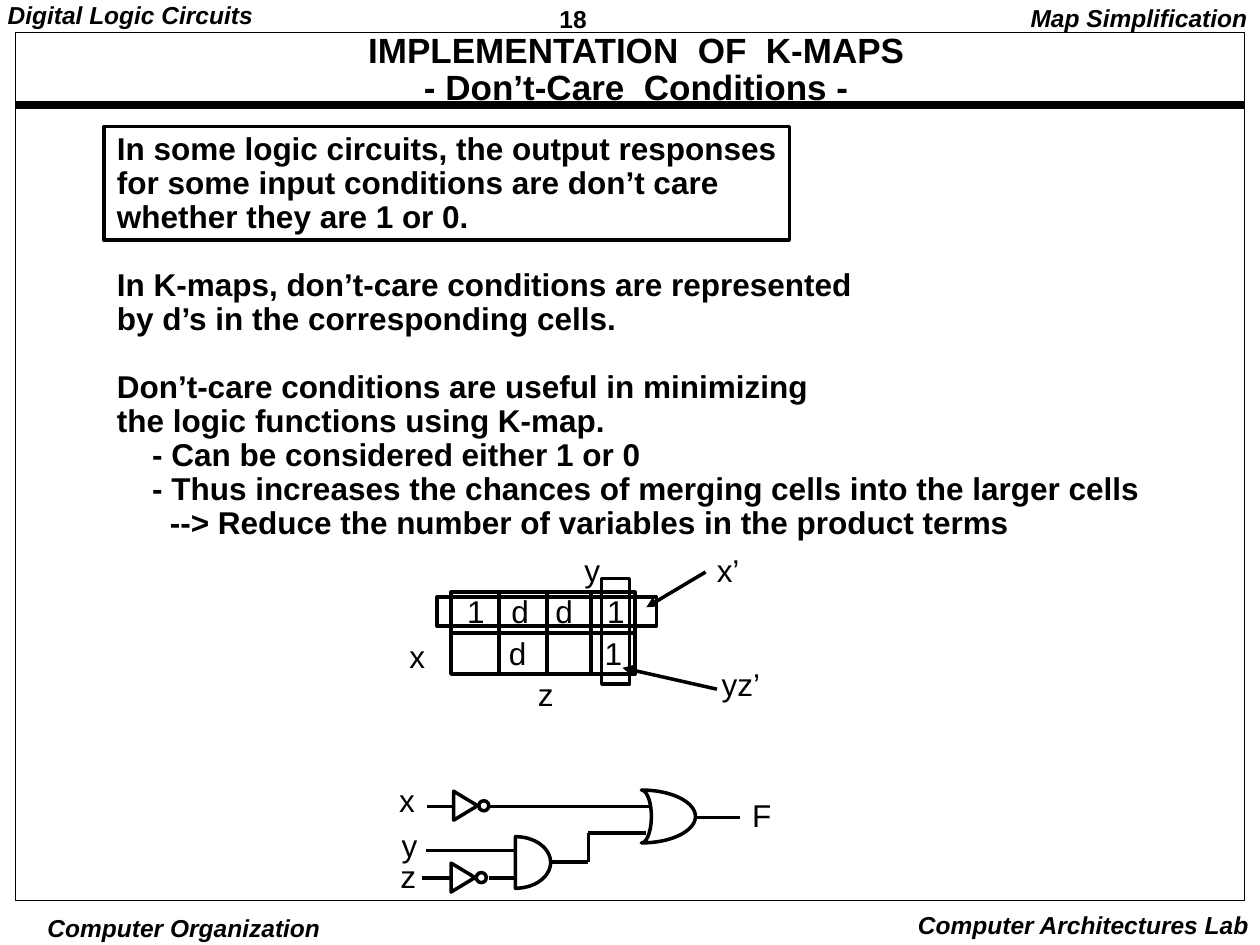
from dataclasses import dataclass
from math import cos, pi, sin

from lxml.etree import SubElement
from pptx import Presentation
from pptx.dml.color import RGBColor
from pptx.enum.shapes import MSO_CONNECTOR, MSO_SHAPE
from pptx.enum.text import MSO_ANCHOR, MSO_AUTO_SIZE, PP_ALIGN
from pptx.oxml.ns import qn
from pptx.util import Emu, Inches, Pt


@dataclass(frozen=True)
class Theme:
    ink: RGBColor = RGBColor(0, 0, 0)
    paper: RGBColor = RGBColor(255, 255, 255)
    face: str = "Arial"
    head: float = 20
    body: float = 18
    edge: float = 14
    thin: float = 0.5
    line: float = 2
    rule: float = 4.5
    lead: float = 0.9


@dataclass(frozen=True)
class Box:
    """A place on the slide grid, in columns and rows."""
    x: float
    y: float
    w: float
    h: float


@dataclass(frozen=True)
class Label:
    text: str
    box: Box
    pad: tuple = (1, 0.5)
    align: PP_ALIGN = PP_ALIGN.LEFT
    tabs: tuple = ()
    lead: float = 0.9


@dataclass(frozen=True)
class Line:
    text: str
    dent: float = 0
    gap: float = 0


@dataclass(frozen=True)
class Wire:
    x1: float
    y1: float
    x2: float
    y2: float
    arrow: bool = False


THEME = Theme()
COLS, ROWS = 100, 75
deck = Presentation()
deck.slide_width, deck.slide_height = Inches(10), Inches(7.5)
page = deck.slides.add_slide(deck.slide_layouts[5])


def col(n: float) -> Emu:
    return Emu(round(deck.slide_width * n / COLS))


def row(n: float) -> Emu:
    return Emu(round(deck.slide_height * n / ROWS))


def area(box: Box) -> tuple:
    return col(box.x), row(box.y), col(box.w), row(box.h)


def put(target, **values) -> None:
    for name, value in values.items():
        setattr(target, name, value)


def style(para, size: float, bold=False, slant=False) -> None:
    para.line_spacing = THEME.lead
    put(para.font, name=THEME.face, size=Pt(size), bold=bold, italic=slant)
    para.font.color.rgb = THEME.ink


def inset(frame, pad: tuple) -> None:
    put(frame, margin_left=col(pad[0]), margin_right=col(pad[0]),
        margin_top=row(pad[1]), margin_bottom=row(pad[1]))


def write(label: Label, size: float, bold=False, slant=False) -> None:
    frame = page.shapes.add_textbox(*area(label.box)).text_frame
    put(frame, word_wrap=bool(label.tabs), auto_size=MSO_AUTO_SIZE.SHAPE_TO_FIT_TEXT)
    inset(frame, label.pad)
    para = frame.paragraphs[0]
    put(para, text=label.text, alignment=label.align)
    if label.tabs:
        stops = SubElement(para._p.get_or_add_pPr(), qn("a:tabLst"))
        for stop in label.tabs:
            SubElement(stops, qn("a:tab"), pos=str(col(stop)), algn="l")
    style(para, size, bold, slant)
    para.line_spacing = label.lead


def ink(shape, width: float, fill=None) -> None:
    shape.shadow.inherit = False
    if fill is None:
        shape.fill.background()
    else:
        shape.fill.solid()
        shape.fill.fore_color.rgb = fill
    shape.line.color.rgb = THEME.ink
    shape.line.width = Pt(width)


def draw(kind, box: Box, width=THEME.line, fill=None, home=page):
    shape = home.shapes.add_shape(kind, *area(box))
    ink(shape, width, fill)
    return shape


def link(wire: Wire, width=THEME.line):
    line = page.shapes.add_connector(MSO_CONNECTOR.STRAIGHT, col(wire.x1), row(wire.y1),
                                     col(wire.x2), row(wire.y2))
    line.line.color.rgb = THEME.ink
    line.line.width = Pt(width)
    if wire.arrow:
        SubElement(line.line._get_or_add_ln(), qn("a:tailEnd"), type="triangle")
    SubElement(line._element.spPr, qn("a:effectLst"))
    return line


def bow(x: float, y: float, wide: float, high: float, steps=32) -> list:
    """Points down the right half of an ellipse."""
    turns = [pi * (n / steps - 0.5) for n in range(steps + 1)]
    return [(col(x + wide * cos(t)), row(y + high * sin(t))) for t in turns]


def gate(front: list, back: list) -> None:
    """Close a curved front with a flat or curved back."""
    points = front + back[::-1]
    path = page.shapes.build_freeform(*points[0])
    path.add_line_segments(points[1:], close=True)
    ink(path.convert_to_shape(), THEME.line)


def invert(x: float, y: float) -> None:
    """Draw a NOT gate whose triangle starts at x, centred on y."""
    group = page.shapes.add_group_shape()
    long, wide, dot = 2.3, 1.9, 0.8
    cone = draw(MSO_SHAPE.ISOSCELES_TRIANGLE,
                Box(x + (wide - long) / 2, y - wide / 2, long, wide),
                fill=THEME.paper, home=group)
    cone.rotation = 90
    draw(MSO_SHAPE.OVAL, Box(x + wide + 0.1, y - dot / 2, dot, dot),
         fill=THEME.paper, home=group)


# Frame, title and edge labels
link(Wire(1.3, 8.3, 98.7, 8.3), THEME.rule)
draw(MSO_SHAPE.RECTANGLE, Box(1.25, 2.6, 97.5, 68.9), THEME.thin)
title = page.shapes.title
put(title, **dict(zip(("left", "top", "width", "height"), area(Box(3.9, 2.3, 93.2, 6.6)))))
put(title.text_frame, text="IMPLEMENTATION  OF  K-MAPS\v- Don’t-Care  Conditions -",
    auto_size=MSO_AUTO_SIZE.NONE, vertical_anchor=MSO_ANCHOR.TOP, word_wrap=True)
inset(title.text_frame, (0.7, 0.3))
title.text_frame.paragraphs[0].alignment = PP_ALIGN.CENTER
style(title.text_frame.paragraphs[0], THEME.head, bold=True)

write(Label("18", Box(43.7, 0, 10.8, 2.9), (0.7, 0.3), lead=1.01), THEME.edge, bold=True)
for label in (
    Label("Digital Logic Circuits", Box(-0.1, 0, 20.9, 4.8), (0.7, 0.3)),
    Label("Map Simplification", Box(80.8, 0, 19.2, 3.1), align=PP_ALIGN.RIGHT),
    Label("Computer Organization", Box(2.6, 72.4, 24, 2.6), (0.3, 0.1), PP_ALIGN.CENTER, lead=1),
    Label("Computer Architectures Lab", Box(71.8, 71.7, 28.3, 3.3), align=PP_ALIGN.RIGHT, lead=1),
):
    write(label, THEME.edge, bold=True, slant=True)

# Main text
GAP = 19.4
LINES = (
    Line("In some logic circuits, the output responses"),
    Line("for some input conditions are don’t care"),
    Line("whether they are 1 or 0."),
    Line("In K-maps, don’t-care conditions are represented", gap=GAP),
    Line("by d’s in the corresponding cells."),
    Line("Don’t-care conditions are useful in minimizing", gap=GAP),
    Line("the logic functions using K-map."),
    Line("- Can be considered either 1 or 0", 2.8),
    Line("- Thus increases the chances of merging cells into the larger cells", 2.8),
    Line("--> Reduce the number of variables in the product terms", 4.2),
)
frame = page.shapes.add_textbox(*area(Box(8.3, 10.1, 86, 33.4))).text_frame
put(frame, word_wrap=True, auto_size=MSO_AUTO_SIZE.SHAPE_TO_FIT_TEXT)
inset(frame, (1, 0.5))
for n, line in enumerate(LINES):
    para = frame.add_paragraph() if n else frame.paragraphs[0]
    para.text = line.text
    if line.gap:
        para.space_before = Pt(line.gap)
    if line.dent:
        para._p.get_or_add_pPr().set("marL", str(col(line.dent)))
    style(para, THEME.body, bold=True)
draw(MSO_SHAPE.RECTANGLE, Box(8.25, 10.05, 54.4, 9))

# K-map
grid = draw(MSO_SHAPE.RECTANGLE, Box(35.8, 47, 14.6, 6.5))
split = link(Wire(35.8, 50.25, 50.4, 50.25))
split.begin_connect(grid, 1)
split.end_connect(grid, 3)
for x in (39.6, 43.4, 46.9):
    link(Wire(x, 47, x, 53.5))
for loop in (Box(34.7, 47.4, 17.4, 2.3), Box(47.75, 45.9, 2.2, 8.4)):
    draw(MSO_SHAPE.RECTANGLE, loop)
for wire in (Wire(56, 45.4, 51.3, 48.2, True), Wire(56.9, 54.7, 49.4, 53, True)):
    link(wire)

# Circuit
invert(36, 63.95)
invert(35.8, 69.65)
gate(bow(40.9, 68.45, 2.8, 2.05), [])
gate(bow(50.9, 64.8, 4.3, 2.1), bow(50.9, 64.8, 0.8, 2.1))
for wire in (
    Wire(33.9, 64, 36, 64), Wire(38.9, 64, 51.7, 64),
    Wire(33.8, 67.5, 40.9, 67.5),
    Wire(33.5, 69.7, 35.8, 69.7), Wire(38.8, 69.7, 40.8, 69.7),
    Wire(43.8, 68.4, 46.7, 68.4), Wire(46.7, 68.4, 46.7, 66.1), Wire(46.7, 66.1, 51.3, 66.1),
    Wire(55.3, 64.9, 58.7, 64.9),
):
    link(wire)

# Letters on the map and the circuit
for label in (
    Label("x", Box(31.5, 50.4, 3.4, 3.7)),
    Label("y", Box(45.4, 43.6, 3.4, 3.7)),
    Label("z", Box(41.7, 53.4, 3.4, 3.7)),
    Label("1\td\td\t1", Box(36.1, 46.8, 15, 3.7), tabs=(3.5, 7, 11.1)),
    Label("d\t1", Box(39.4, 50.2, 11.5, 3.7), tabs=(7.6,)),
    Label("x’", Box(55.9, 43.6, 4.2, 3.7)),
    Label("yz’", Box(56.3, 52.6, 5.6, 3.7)),
    Label("x", Box(30.7, 61.8, 3.4, 3.7)),
    Label("y", Box(30.9, 65.4, 3.4, 3.7)),
    Label("z", Box(30.8, 67.9, 3.4, 3.7)),
    Label("F", Box(58.7, 63, 3.8, 3.7)),
):
    write(label, THEME.body)

deck.save("out.pptx")
